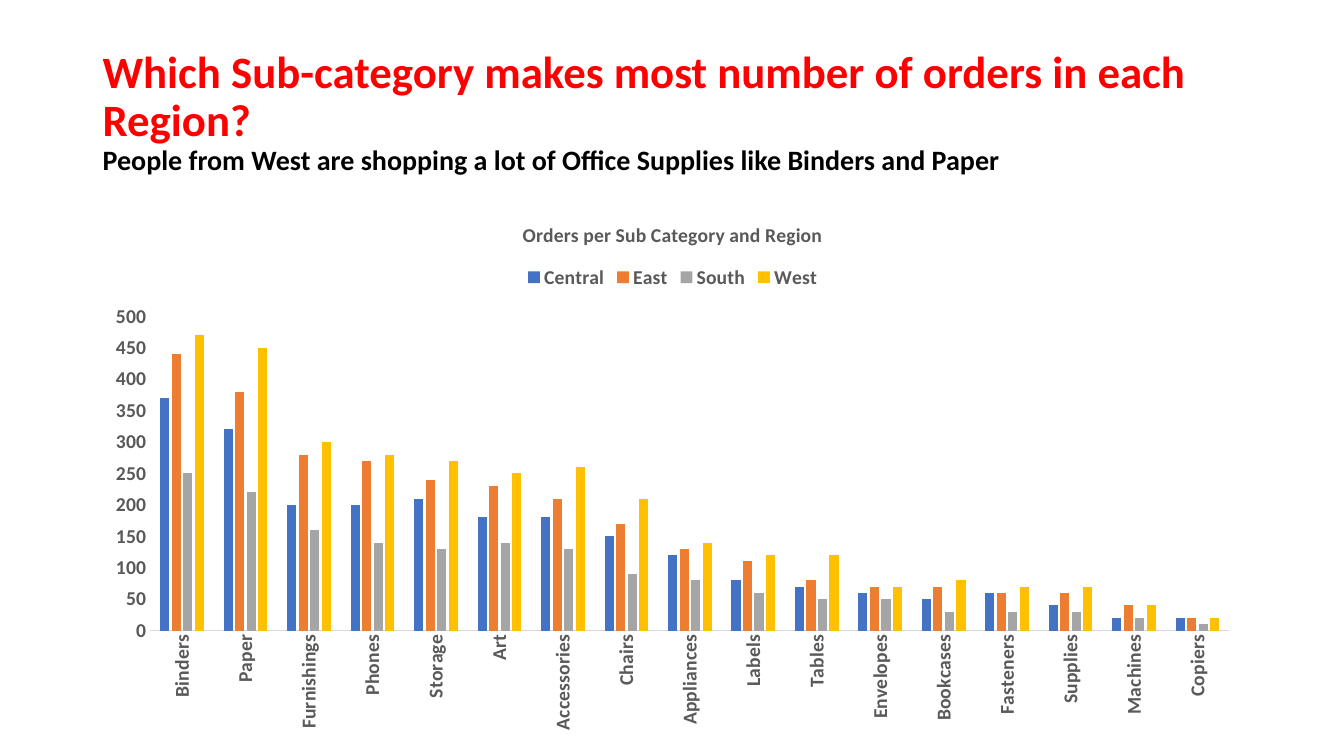
from dataclasses import dataclass

import pptx
import pptx.chart.data
import pptx.dml.color
import pptx.enum.chart
import pptx.enum.text
import pptx.util


@dataclass(frozen=True)
class Theme:
    font: str = "Calibri"
    headline: str = "FF0000"
    subtitle: str = "000000"
    chart_text: str = "595959"
    axis_line: str = "D9D9D9"
    headline_size: int = 32
    subtitle_size: int = 20
    chart_size: int = 14


THEME = Theme()
SLIDE_WIDTH = pptx.util.Inches(13.33)
SLIDE_HEIGHT = pptx.util.Inches(7.5)

# Shares of the slide: left, top, width, height
TITLE_AREA = (0.069, 0.053, 0.863, 0.193)
CHART_AREA = (0.069, 0.267, 0.863, 0.713)

HEADLINE = "Which Sub-category makes most number of orders in each Region?"
SUBTITLE = "People from West are shopping a lot of Office Supplies like Binders and Paper"
CHART_TITLE = "Orders per Sub Category and Region"

SUB_CATEGORIES = [
    "Binders", "Paper", "Furnishings", "Phones", "Storage", "Art",
    "Accessories", "Chairs", "Appliances", "Labels", "Tables", "Envelopes",
    "Bookcases", "Fasteners", "Supplies", "Machines", "Copiers",
]
# Region: (colour, orders per sub-category)
REGIONS = {
    "Central": ("4472C4", [370, 320, 200, 200, 210, 180, 180, 150, 120,
                           80, 70, 60, 50, 60, 40, 20, 20]),
    "East": ("ED7D31", [440, 380, 280, 270, 240, 230, 210, 170, 130,
                        110, 80, 70, 70, 60, 60, 40, 20]),
    "South": ("A5A5A5", [250, 220, 160, 140, 130, 140, 130, 90, 80,
                         60, 50, 50, 30, 30, 30, 20, 10]),
    "West": ("FFC000", [470, 450, 300, 280, 270, 250, 260, 210, 140,
                        120, 120, 70, 80, 70, 70, 40, 20]),
}


def place(area):
    """Turn shares of the slide into lengths."""
    left, top, width, height = area
    return (round(left * SLIDE_WIDTH), round(top * SLIDE_HEIGHT),
            round(width * SLIDE_WIDTH), round(height * SLIDE_HEIGHT))


def style_font(font, size, color):
    font.name = THEME.font
    font.size = pptx.util.Pt(size)
    font.bold = True
    font.color.rgb = pptx.dml.color.RGBColor.from_string(color)


def add_title(slide):
    text_frame = slide.shapes.add_textbox(*place(TITLE_AREA)).text_frame
    text_frame.word_wrap = True
    text_frame.vertical_anchor = pptx.enum.text.MSO_ANCHOR.MIDDLE
    paragraph = text_frame.paragraphs[0]
    paragraph.text = HEADLINE + "\v" + SUBTITLE
    paragraph.line_spacing = 0.9
    headline, subtitle = paragraph.runs
    style_font(headline.font, THEME.headline_size, THEME.headline)
    style_font(subtitle.font, THEME.subtitle_size, THEME.subtitle)


def style_axis(axis):
    axis.has_major_gridlines = False
    axis.major_tick_mark = pptx.enum.chart.XL_TICK_MARK.NONE
    axis.minor_tick_mark = pptx.enum.chart.XL_TICK_MARK.NONE
    style_font(axis.tick_labels.font, THEME.chart_size, THEME.chart_text)


def add_orders_chart(slide):
    chart_data = pptx.chart.data.CategoryChartData()
    chart_data.categories = SUB_CATEGORIES
    for region, (_, orders) in REGIONS.items():
        chart_data.add_series(region, orders)
    chart = slide.shapes.add_chart(
        pptx.enum.chart.XL_CHART_TYPE.COLUMN_CLUSTERED,
        *place(CHART_AREA), chart_data).chart
    style_font(chart.font, THEME.chart_size, THEME.chart_text)

    # Title and legend
    chart.has_title = True
    title_frame = chart.chart_title.text_frame
    title_frame.text = CHART_TITLE
    style_font(title_frame.paragraphs[0].runs[0].font,
               THEME.chart_size, THEME.chart_text)
    chart.has_legend = True
    chart.legend.position = pptx.enum.chart.XL_LEGEND_POSITION.TOP
    chart.legend.include_in_layout = False
    style_font(chart.legend.font, THEME.chart_size, THEME.chart_text)

    # Axes, with upright category labels
    category_axis, value_axis = chart.category_axis, chart.value_axis
    style_axis(category_axis)
    style_axis(value_axis)
    line = category_axis.format.line
    line.color.rgb = pptx.dml.color.RGBColor.from_string(THEME.axis_line)
    line.width = pptx.util.Pt(0.75)
    text_properties = category_axis.tick_labels.font._element.getparent().getparent()
    text_properties.getparent().bodyPr.set("rot", "-5400000")
    value_axis.format.line.fill.background()
    value_axis.minimum_scale = 0
    value_axis.maximum_scale = 500
    value_axis.major_unit = 50

    # Columns
    plot = chart.plots[0]
    plot.gap_width = 219
    plot.overlap = -27
    plot.vary_by_categories = False
    for series in plot.series:
        color, _ = REGIONS[series.name]
        series.format.fill.solid()
        series.format.fill.fore_color.rgb = pptx.dml.color.RGBColor.from_string(color)


def main():
    presentation = pptx.Presentation()
    presentation.slide_width = SLIDE_WIDTH
    presentation.slide_height = SLIDE_HEIGHT
    slide = presentation.slides.add_slide(presentation.slide_layouts[6])
    add_title(slide)
    add_orders_chart(slide)
    presentation.save("out.pptx")


if __name__ == "__main__":
    main()
